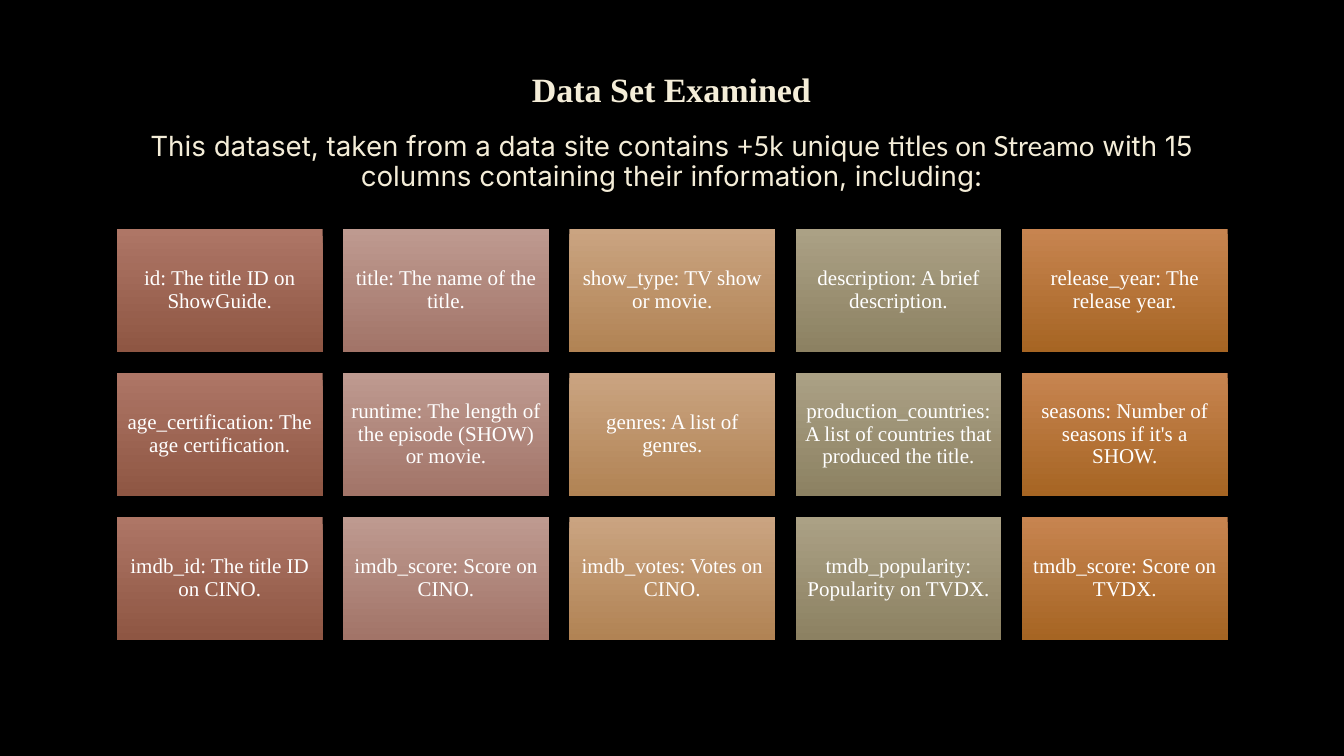
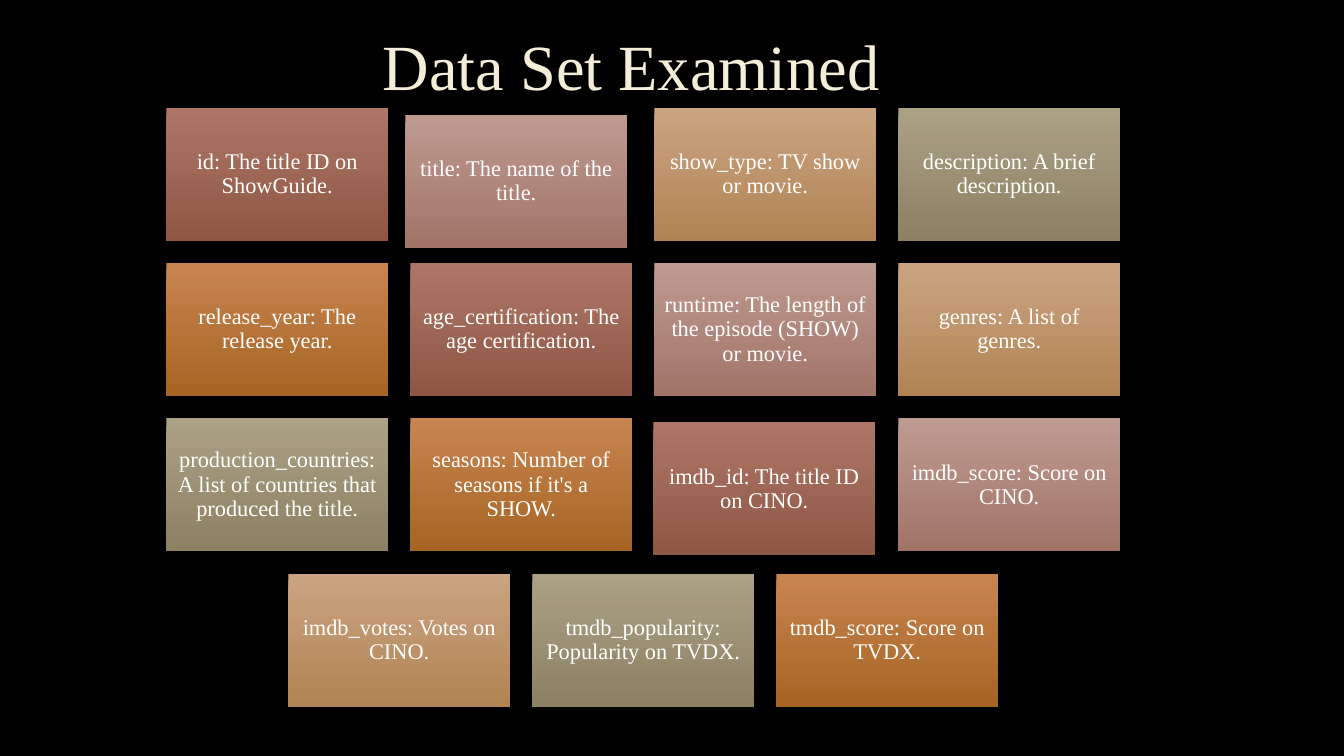
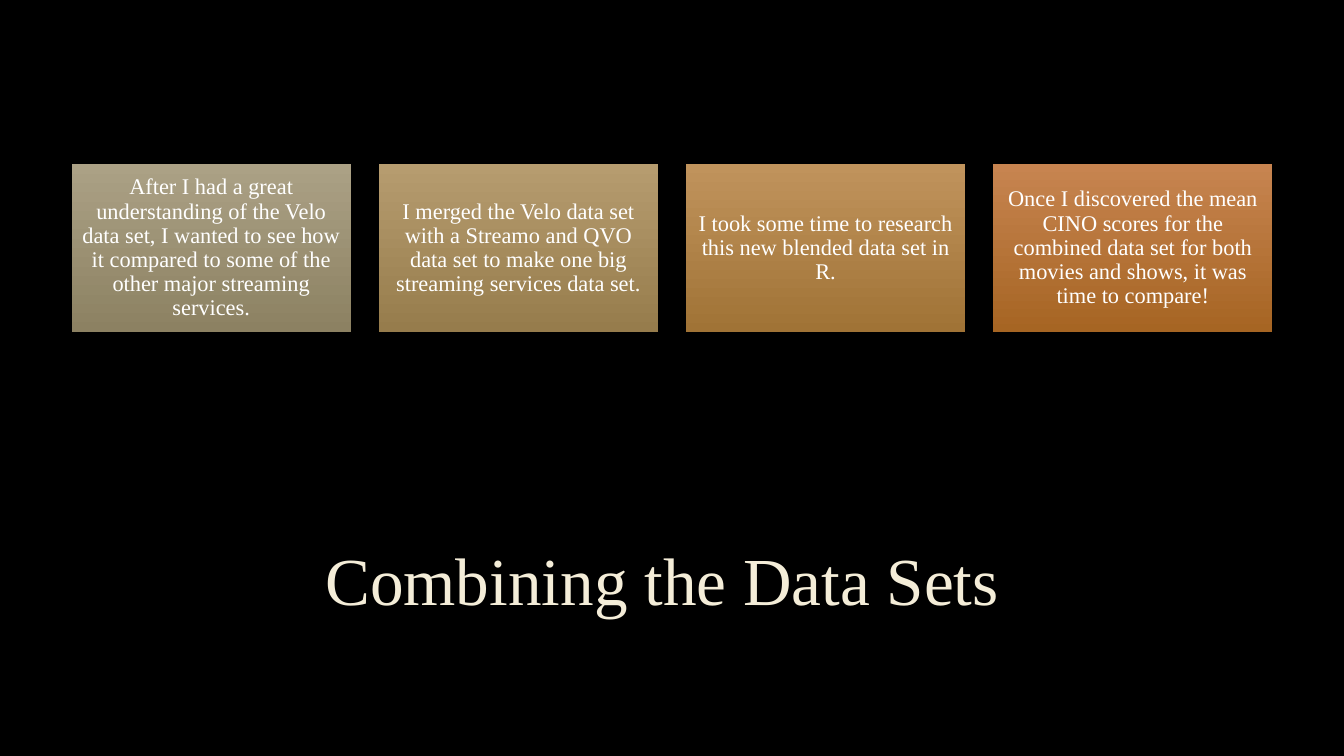
import pptx
import pptx.dml.color
import pptx.enum.shapes
import pptx.enum.text
import pptx.util

In, Pt = pptx.util.Inches, pptx.util.Pt
ALIGN = pptx.enum.text.PP_ALIGN
ANCHOR = pptx.enum.text.MSO_ANCHOR
RECT = pptx.enum.shapes.MSO_SHAPE.RECTANGLE

SERIF, SANS, LIGHT = "Times New Roman", "Inter", "Lato"
BLACK, CREAM, WHITE = "000000", "F4EDD8", "FFFFFF"
BRICK, ROSE, SAND = ("AE7666", "8E5643"), ("BE9A90", "A27468"), ("CAA481", "B18354")
SAGE, ORANGE = ("ABA185", "8C8162"), ("C78450", "A66523")
OLIVE, GOLD = ("B69C6F", "967C4C"), ("C0935C", "A07336")
COLUMN_SHADES = [BRICK, ROSE, SAND, SAGE, ORANGE]
STEP_SHADES = [SAGE, OLIVE, GOLD, ORANGE]

FIELDS = [
    "id: The title ID on ShowGuide.",
    "title: The name of the title.",
    "show_type: TV show or movie.",
    "description: A brief description.",
    "release_year: The release year.",
    "age_certification: The age certification.",
    "runtime: The length of the episode (SHOW) or movie.",
    "genres: A list of genres.",
    "production_countries: A list of countries that produced the title.",
    "seasons: Number of seasons if it's a SHOW.",
    "imdb_id: The title ID on CINO.",
    "imdb_score: Score on CINO.",
    "imdb_votes: Votes on CINO.",
    "tmdb_popularity: Popularity on TVDX.",
    "tmdb_score: Score on TVDX.",
]
STEPS = [
    "After I had a great understanding of the Velo data set, I wanted to see how "
    "it compared to some of the other major streaming services.",
    "I merged the Velo data set with a Streamo and QVO data set to make one big "
    "streaming services data set.",
    "I took some time to research this new blended data set in R.",
    "Once I discovered the mean CINO scores for the combined data set for both "
    "movies and shows, it was time to compare!",
]
INTRO = [
    ("This dataset, taken from a data site contains ", SANS),
    ("+5k", LIGHT),
    (" unique ", SANS),
    ("titles on Streamo", LIGHT),
    (" with 15 columns containing their information, including:", SANS),
]


def rgb(value):
    return pptx.dml.color.RGBColor.from_string(value)


def apply(obj, **values):
    for name, value in values.items():
        setattr(obj, name, value)


class Deck:
    TITLE_WIDTH = 11.32

    def __init__(self):
        self.prs = pptx.Presentation()
        apply(self.prs, slide_width=In(13.33), slide_height=In(7.5))

    def slide(self):
        self.s = self.prs.slides.add_slide(self.prs.slide_layouts[6])
        self.s.background.fill.solid()
        self.s.background.fill.fore_color.rgb = rgb(BLACK)

    def paragraph(self, p, runs, size, color, bold=False):
        """Fill a centred paragraph with (text, font) runs."""
        apply(p, alignment=ALIGN.CENTER, line_spacing=0.9)
        for text, font in runs:
            r = p.add_run()
            r.text = text
            apply(r.font, name=font, size=Pt(size), bold=bold)
            r.font.color.rgb = rgb(color)

    def title(self, text, x, y, h, size, bold=False):
        sp = self.s.shapes.add_textbox(In(x), In(y), In(self.TITLE_WIDTH), In(h))
        tf = sp.text_frame
        apply(tf, word_wrap=True, vertical_anchor=ANCHOR.MIDDLE)
        self.paragraph(tf.paragraphs[0], [(text, SERIF)], size, CREAM, bold)
        return tf

    def subtitle(self, tf, runs, size, gap):
        p = tf.add_paragraph()
        p.space_before = Pt(gap)
        self.paragraph(p, runs, size, CREAM)

    def tile(self, text, shade, x, y, w, h, size):
        sp = self.s.shapes.add_shape(RECT, In(x), In(y), In(w), In(h))
        sp.shadow.inherit = False
        sp.line.fill.background()
        sp.fill.gradient()
        sp.fill.gradient_angle = 270
        for stop, color in zip(sp.fill.gradient_stops, shade):
            stop.color.rgb = rgb(color)
        tf = sp.text_frame
        sides = ("left", "top", "right", "bottom")
        apply(tf, word_wrap=True, vertical_anchor=ANCHOR.MIDDLE,
              **{f"margin_{side}": Pt(0.3 * size) for side in sides})
        self.paragraph(tf.paragraphs[0], [(text, SERIF)], size, WHITE)

    def tiles(self, texts, shades, cols, x, y, w, size, nudges=None):
        """Grid of 5:3 tiles with gaps of a tenth of the width; a short row is centred.

        nudges maps a tile's index to its (dx, dy) shift off the grid.
        """
        h, gap = 0.6 * w, 0.1 * w
        for i, text in enumerate(texts):
            row, col = divmod(i, cols)
            in_row = min(cols, len(texts) - row * cols)
            col += (cols - in_row) / 2
            dx, dy = (nudges or {}).get(i, (0, 0))
            self.tile(text, shades[i % len(shades)], x + col * (w + gap) + dx,
                      y + row * (h + gap) + dy, w, h, size)


def main():
    deck = Deck()

    deck.slide()
    heading = deck.title("Data Set Examined", 1, 0.63, 1.38, 24.3, bold=True)
    deck.subtitle(heading, INTRO, 19.8, gap=16)
    deck.tiles(FIELDS, COLUMN_SHADES, 5, 1.16, 2.27, 2.04, 15)

    deck.slide()
    deck.title("Data Set Examined", 0.6, 0, 1.38, 46)
    deck.tiles(FIELDS, COLUMN_SHADES, 4, 1.65, 1.07, 2.2, 16,
               nudges={1: (-0.05, 0.07), 10: (-0.01, 0.04)})

    deck.slide()
    deck.title("Combining the Data Sets", 0.91, 4.9, 1.79, 48)
    deck.tiles(STEPS, STEP_SHADES, 4, 0.71, 1.63, 2.77, 16)

    deck.prs.save("out.pptx")


if __name__ == "__main__":
    main()
